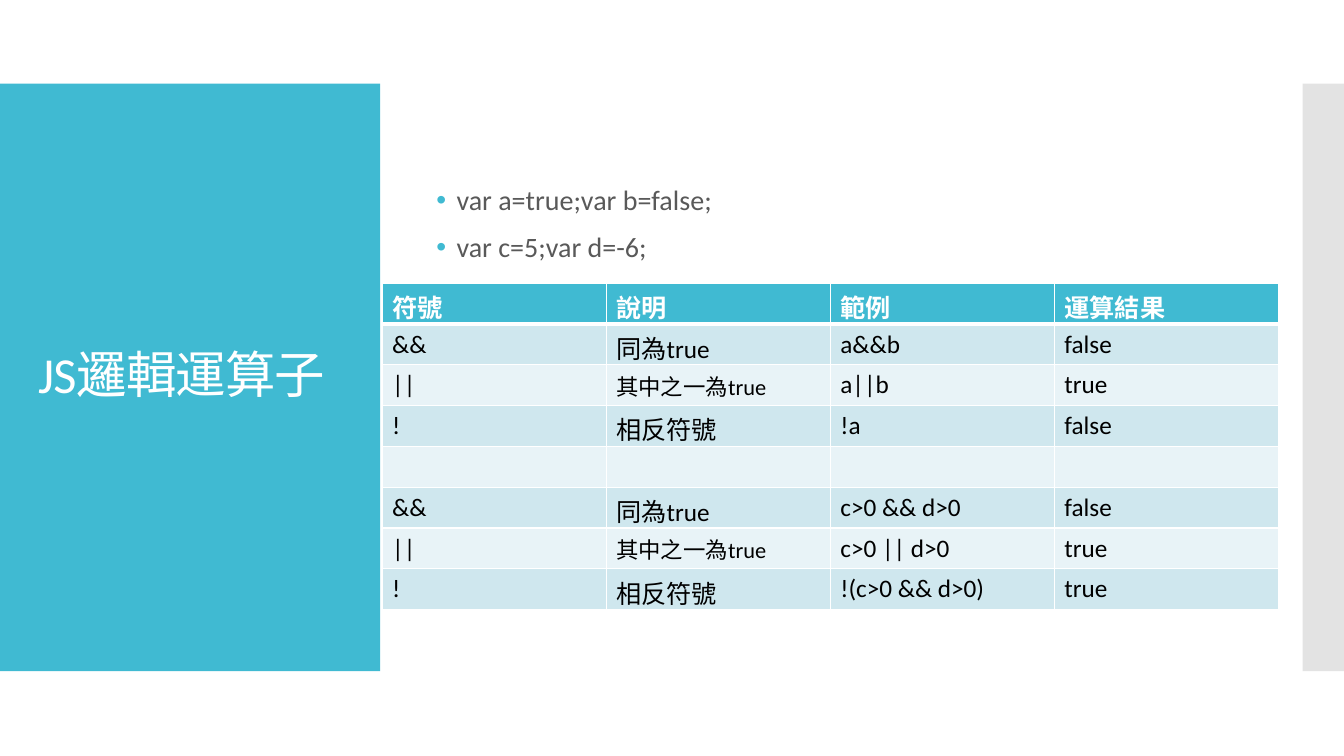
from lxml import etree
from pptx import Presentation
from pptx.dml.color import RGBColor
from pptx.enum.shapes import MSO_SHAPE
from pptx.enum.text import MSO_ANCHOR
from pptx.oxml.ns import qn
from pptx.util import Inches, Pt

RECT = MSO_SHAPE.RECTANGLE
TOP, MIDDLE = MSO_ANCHOR.TOP, MSO_ANCHOR.MIDDLE
FONT = "Calibri"
COLORS = {
    "accent": "40BAD2", "side": "C8C8C8", "white": "FFFFFF", "body": "595959",
    "black": "000000", "odd": "CFE7EE", "even": "E8F3F7",
}
CODE_LINES = ["var a=true;var b=false;", "var c=5;var d=-6;"]
OPERATORS = [
    ["符號", "說明", "範例", "運算結果"],
    ["&&", "同為true", "a&&b", "false"],
    ["||", "其中之一為true", "a||b", "true"],
    ["!", "相反符號", "!a", "false"],
    ["", "", "", ""],
    ["&&", "同為true", "c>0 && d>0", "false"],
    ["||", "其中之一為true", "c>0 || d>0", "true"],
    ["!", "相反符號", "!(c>0 && d>0)", "true"],
]


def rgb(name):
    return RGBColor.from_string(COLORS[name])


def add_run(p, text, size, color, bold=False):
    r = p.add_run()
    r.text = text
    r.font.name, r.font.size, r.font.bold = FONT, Pt(size), bold
    r.font.color.rgb = rgb(color)
    return r


def add_panel(slide, x, y, w, h, color):
    sp = slide.shapes.add_shape(RECT, Inches(x), Inches(y), Inches(w), Inches(h))
    sp.shadow.inherit = False
    sp.fill.solid()
    sp.fill.fore_color.rgb = rgb(color)
    sp.line.fill.background()
    return sp


def add_text_frame(slide, x, y, w, h, anchor):
    sp = slide.shapes.add_textbox(Inches(x), Inches(y), Inches(w), Inches(h))
    tf = sp.text_frame
    tf.word_wrap = True
    tf.vertical_anchor = anchor
    return tf


def add_title(slide, x, y, w, h):
    add_panel(slide, x, y, w, h, "accent")
    tf = add_text_frame(slide, x + 0.28, y + 0.4, w - 0.55, h - 0.8, MIDDLE)
    p = tf.paragraphs[0]
    p.line_spacing = 0.9
    r = add_run(p, "JS邏輯運算子", 36, "white")
    r.font._element.set("spc", "-60")


def add_side_bar(slide, x, y, w, h):
    sp = add_panel(slide, x, y, w, h, "side")
    color = sp.fill._xPr.find(qn("a:solidFill"))[0]
    etree.SubElement(color, qn("a:alpha"), val="50000")


def add_code_list(slide, x, y, w, h):
    tf = add_text_frame(slide, x, y, w, h, TOP)
    tf.margin_top = Inches(0.91)
    for i, line in enumerate(CODE_LINES):
        p = tf.paragraphs[0] if i == 0 else tf.add_paragraph()
        p.line_spacing, p.space_before = 0.9, Pt(12)
        add_run(p, line, 20, "body")
        # Hanging bullet
        pPr = p._p.get_or_add_pPr()
        pPr.set("marL", str(Inches(0.2)))
        pPr.set("indent", str(Inches(-0.2)))
        color = etree.SubElement(pPr, qn("a:buClr"))
        etree.SubElement(color, qn("a:srgbClr"), val=COLORS["accent"])
        etree.SubElement(pPr, qn("a:buFont"), typeface="Arial")
        etree.SubElement(pPr, qn("a:buChar"), char="•")


def set_borders(cell, top, bottom):
    tcPr = cell._tc.get_or_add_tcPr()
    widths = {"lnL": 1, "lnR": 1, "lnT": top, "lnB": bottom}
    for i, (side, width) in enumerate(widths.items()):
        ln = etree.Element(qn("a:" + side), w=str(Pt(width)))
        fill = etree.SubElement(ln, qn("a:solidFill"))
        etree.SubElement(fill, qn("a:srgbClr"), val=COLORS["white"])
        tcPr.insert(i, ln)


def add_operator_table(slide, x, y, w, h):
    n_rows, n_cols = len(OPERATORS), len(OPERATORS[0])
    frame = slide.shapes.add_table(n_rows, n_cols, Inches(x), Inches(y), Inches(w), Inches(h))
    for i, row in enumerate(OPERATORS):
        header = i == 0
        for j, text in enumerate(row):
            cell = frame.table.cell(i, j)
            cell.fill.solid()
            cell.fill.fore_color.rgb = rgb("accent" if header else "odd" if i % 2 else "even")
            set_borders(cell, top=3 if i == 1 else 1, bottom=3 if header else 1)
            if text:
                size = 16 if text.startswith("其中") else 18
                add_run(cell.text_frame.paragraphs[0], text, size,
                        "white" if header else "black", header)


def main():
    prs = Presentation()
    prs.slide_width, prs.slide_height = Inches(13.33), Inches(7.5)
    slide = prs.slides.add_slide(prs.slide_layouts[6])
    add_title(slide, 0, 0.83, 3.77, 5.83)
    add_side_bar(slide, 12.92, 0.83, 0.41, 5.83)
    add_code_list(slide, 4.23, 0.94, 8, 5.6)
    add_operator_table(slide, 3.79, 2.81, 8.89, 3.24)
    prs.save("out.pptx")


if __name__ == "__main__":
    main()
